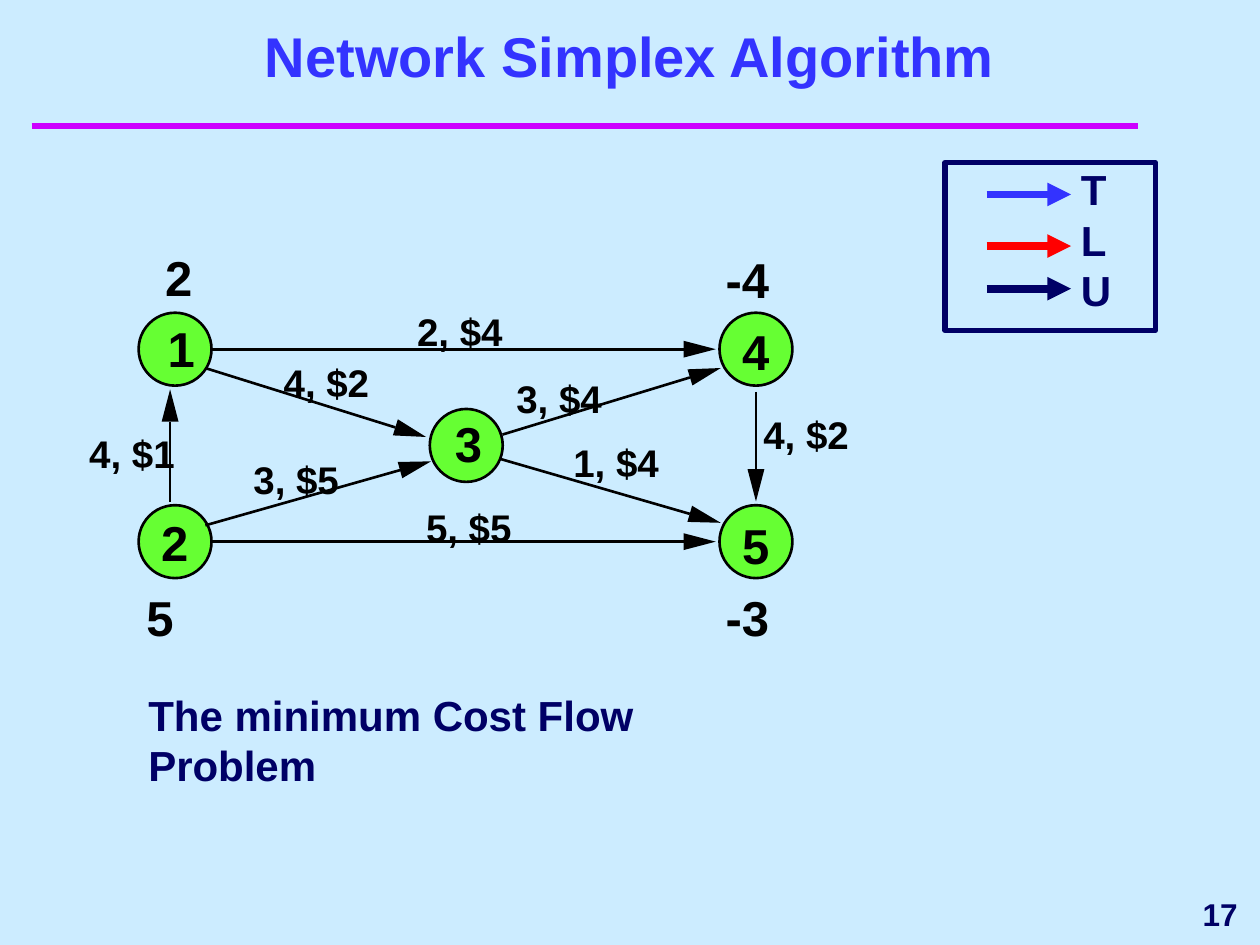
import math
from dataclasses import dataclass

import pptx
import pptx.dml.color
import pptx.enum.shapes
import pptx.enum.text
import pptx.oxml
import pptx.oxml.ns
import pptx.util
from pptx.util import Cm

ALIGN = pptx.enum.text.PP_ALIGN
ANCHOR = pptx.enum.text.MSO_ANCHOR
SHAPE = pptx.enum.shapes.MSO_SHAPE


@dataclass(frozen=True)
class Theme:
    font: str = "Arial"
    background: str = "CCECFF"
    title: str = "3333FF"
    rule: str = "CC00FF"
    node: str = "66FF33"
    ink: str = "000000"
    navy: str = "000066"
    red: str = "FF0000"
    title_size: int = 32
    node_size: int = 28
    body_size: int = 24
    label_size: int = 22
    number_size: int = 18


THEME = Theme()

# All positions in centimetres; nodes, edges and labels start from the network box.
NODE_DIAMETER = 1.47
HEAD_LENGTH, HEAD_HALF_WIDTH = 0.65, 0.17

# Node centre, number and its corner, supply and its corner
NODES = [
    ((1.73, 2.04), "1", (1.58, 1.43), "2", (1.53, 0)),
    ((1.73, 5.92), "2", (1.45, 5.34), "5", (1.15, 6.84)),
    ((7.6, 3.98), "3", (7.37, 3.33), None, None),
    ((13.44, 2.04), "4", (13.16, 1.48), "-4", (12.83, 0.03)),
    ((13.44, 5.92), "5", (13.16, 5.39), "-3", (12.83, 6.84)),
]

# Start, tip, "capacity, cost" and its corner
EDGES = [
    ((2.44, 2.04), (12.63, 2.04), "2, $4", (6.61, 1.22)),
    ((1.63, 5.11), (1.63, 2.85), "4, $1", (0, 3.66)),
    ((2.44, 5.92), (12.63, 5.92), "5, $5", (6.79, 5.16)),
    ((13.44, 2.9), (13.44, 5.11), "4, $2", (13.59, 3.28)),
    ((2.34, 2.42), (6.79, 3.81), "4, $2", (3.92, 2.24)),
    ((8.33, 3.76), (12.73, 2.42), "3, $4", (8.61, 2.57)),
    ((8.28, 4.25), (12.73, 5.54), "1, $4", (9.76, 3.86)),
    ((2.34, 5.59), (6.89, 4.3), "3, $5", (3.31, 4.19)),
]


def rgb(value):
    return pptx.dml.color.RGBColor.from_string(value)


def add_text(page, box, lines, size, color, align=ALIGN.LEFT,
             anchor=ANCHOR.TOP, wrap=True, inset=True):
    shape = page.shapes.add_textbox(*map(Cm, box))
    frame = shape.text_frame
    frame.word_wrap = wrap
    frame.vertical_anchor = anchor
    if not inset:
        frame.margin_left = frame.margin_right = 0
        frame.margin_top = frame.margin_bottom = 0
    for index, line in enumerate(lines):
        para = frame.add_paragraph() if index else frame.paragraphs[0]
        para.alignment = align
        span = para.add_run()
        span.text = line
        span.font.name = THEME.font
        span.font.size = pptx.util.Pt(size)
        span.font.bold = True
        span.font.color.rgb = rgb(color)


def add_line(page, start, end, color, width, arrow=False):
    line = page.shapes.add_connector(
        pptx.enum.shapes.MSO_CONNECTOR.STRAIGHT, *map(Cm, (*start, *end)))
    line.line.color.rgb = rgb(color)
    line.line.width = pptx.util.Pt(width)
    if arrow:
        outline = line.line._get_or_add_ln()
        outline.append(pptx.oxml.parse_xml(
            f'<a:tailEnd {pptx.oxml.ns.nsdecls("a")} type="triangle"/>'))
    line._element.spPr.append(pptx.oxml.parse_xml(
        f'<a:effectLst {pptx.oxml.ns.nsdecls("a")}/>'))


def add_outlined(page, kind, box, color, width, fill=None):
    shape = page.shapes.add_shape(kind, *map(Cm, box))
    shape.shadow.inherit = False
    shape.line.color.rgb = rgb(color)
    shape.line.width = pptx.util.Pt(width)
    if fill:
        shape.fill.solid()
        shape.fill.fore_color.rgb = rgb(fill)
    else:
        shape.fill.background()


def add_edge(page, start, tip):
    """Draw a thin shaft that ends in a long, narrow filled head."""
    length = math.dist(start, tip)
    dx, dy = (tip[0] - start[0]) / length, (tip[1] - start[1]) / length
    neck = (tip[0] - HEAD_LENGTH * dx, tip[1] - HEAD_LENGTH * dy)
    wing = (HEAD_HALF_WIDTH * dy, -HEAD_HALF_WIDTH * dx)
    corners = [(neck[0] + side * wing[0], neck[1] + side * wing[1])
               for side in (1, -1)]
    builder = page.shapes.build_freeform(Cm(tip[0]), Cm(tip[1]))
    builder.add_line_segments([(Cm(x), Cm(y)) for x, y in corners], close=True)
    head = builder.convert_to_shape()
    head.shadow.inherit = False
    head.fill.solid()
    head.fill.fore_color.rgb = rgb(THEME.ink)
    head.line.fill.background()
    add_line(page, start, neck, THEME.ink, 1.5)


def add_header(page, left, top, width):
    add_line(page, (left + 0.64, top + 2.54), (left + 22.94, top + 2.54),
             THEME.rule, 4)
    add_text(page, (left, top + 0.84, width, 1.07), ["Network Simplex Algorithm"],
             THEME.title_size, THEME.title, ALIGN.CENTER, ANCHOR.BOTTOM)


def add_network(page, left, top):
    def place(point):
        return left + point[0], top + point[1]

    def add_label(text, corner, width, height, size):
        add_text(page, (*place(corner), width, height), [text], size,
                 THEME.ink, wrap=False, inset=False)

    for center, *_ in NODES:
        x, y = place(center)
        add_outlined(page, SHAPE.OVAL,
                     (x - NODE_DIAMETER / 2, y - NODE_DIAMETER / 2,
                      NODE_DIAMETER, NODE_DIAMETER),
                     THEME.ink, 1.5, THEME.node)
    for start, tip, *_ in EDGES:
        add_edge(page, place(start), place(tip))
    for _, number, number_corner, supply, supply_corner in NODES:
        add_label(number, number_corner, 0.56, 1.19, THEME.node_size)
        if supply:
            add_label(supply, supply_corner, 0.56 if len(supply) == 1 else 0.89,
                      1.19, THEME.node_size)
    for _, _, label, corner in EDGES:
        add_label(label, corner, 1.73, 0.94, THEME.label_size)


def add_legend(page, left, top, width, height):
    keys = [("T", THEME.title, 0.64), ("L", THEME.red, 1.68), ("U", THEME.navy, 2.54)]
    for _, color, y in keys:
        add_line(page, (left + 0.84, top + y), (left + 2.54, top + y),
                 color, 4.5, arrow=True)
    add_text(page, (left + 2.49, top - 0.1, 1.12, 3.3), [key[0] for key in keys],
             THEME.body_size, THEME.navy, wrap=False)
    add_outlined(page, SHAPE.RECTANGLE, (left, top, width, height), THEME.navy, 3)


def main():
    deck = pptx.Presentation()
    deck.slide_width, deck.slide_height = Cm(25.4), Cm(19.05)
    page = deck.slides.add_slide(deck.slide_layouts[6])
    page.background.fill.solid()
    page.background.fill.fore_color.rgb = rgb(THEME.background)
    add_header(page, 0, 0, 25.4)
    add_network(page, 1.8, 5)
    add_text(page, (2.74, 13.77, 12.5, 2.29), ["The minimum Cost Flow Problem"],
             THEME.body_size, THEME.navy)
    add_legend(page, 19.05, 3.28, 4.24, 3.38)
    add_text(page, (20.32, 17.78, 4.88, 1.27), ["17"], THEME.number_size,
             THEME.navy, ALIGN.RIGHT, ANCHOR.MIDDLE)
    deck.save("out.pptx")


if __name__ == "__main__":
    main()
